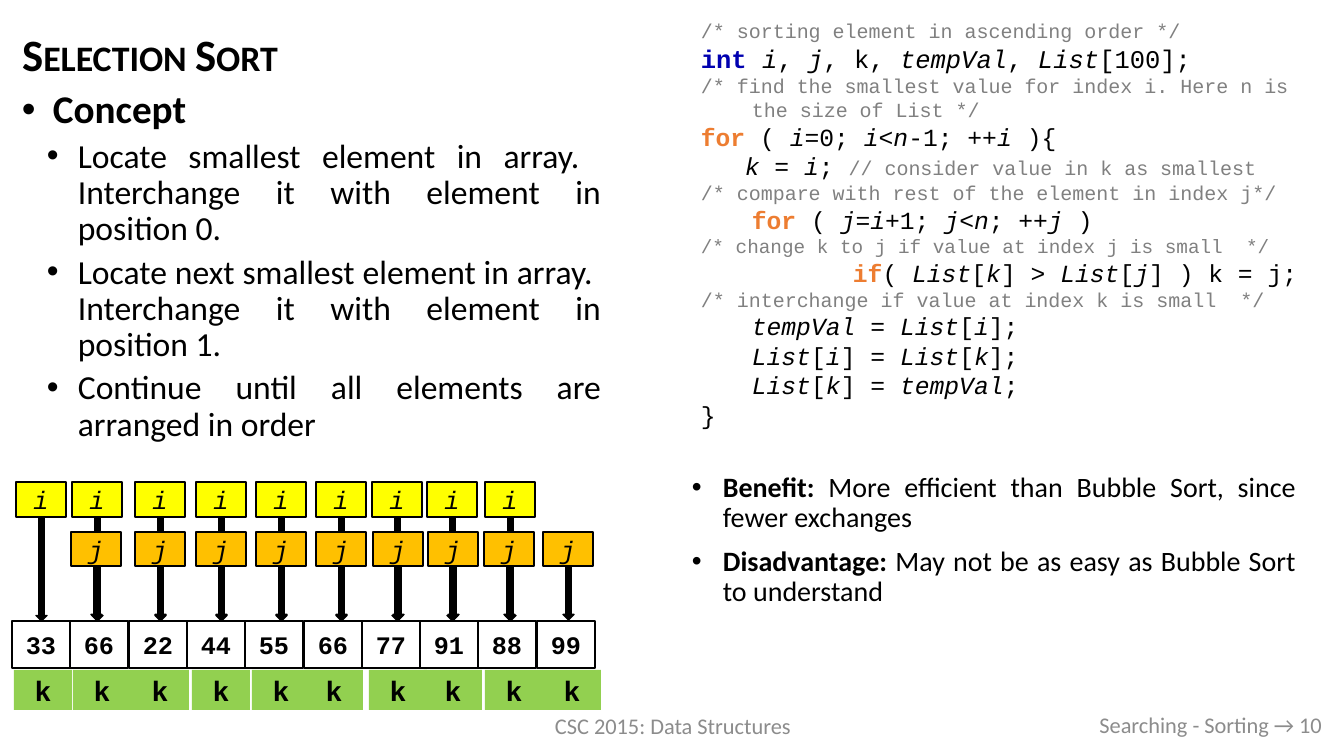
from dataclasses import dataclass

from lxml.etree import SubElement
from pptx import Presentation
from pptx.dml.color import RGBColor
from pptx.enum.shapes import MSO_SHAPE as Shape
from pptx.enum.text import MSO_ANCHOR as Anchor, PP_ALIGN as Align
from pptx.oxml.ns import qn
from pptx.util import Emu, Pt

SCALE = 914400 / 100.8


@dataclass(frozen=True)
class Style:
    """Look of one run of text."""
    size: float
    color: str = "000000"
    bold: bool = False
    italic: bool = False
    font: str = "Calibri"


class Theme:
    """Colours and type styles of the slide."""
    black, cell, i_fill, j_fill, k_fill = "000000", "FFFFFF", "FFFF00", "FFC000", "92D050"
    mono = "Courier New"
    title = Style(32, bold=True)
    heading = Style(28, bold=True)
    body = Style(24)
    remark = Style(20)
    remark_head = Style(20, bold=True)
    footer = Style(16, "8C8C8C")
    number = Style(18, bold=True, font=mono)
    marker = Style(18, italic=True, font=mono)
    smallest = Style(20, bold=True, font=mono)
    code = Style(17.6, font=mono)
    variable = Style(17.6, italic=True, font=mono)
    keyword = Style(17.6, "ED7D31", bold=True, font=mono)
    declare = Style(18.2, font=mono)
    declared = Style(18.2, italic=True, font=mono)
    data_type = Style(18.2, "0000B0", bold=True, font=mono)
    note = Style(14.3, "808080", font=mono)
    tight_note = Style(13.8, "808080", font=mono)


TAB = 51
NUMBERS = (33, 66, 22, 44, 55, 66, 77, 91, 88, 99)
I_LEFTS = (16, 72, 135, 196, 256, 316, 372, 427, 485)
J_LEFTS = (71, 135, 196, 256, 316, 373, 428, 484, 543)
K_LEFTS = (14, 73, 131, 192, 252, 305, 369, 424, 485, 543)
STEPS = (
    "Locate smallest element in array.  Interchange it with element in position 0.",
    "Locate next smallest element in array.  Interchange it with element in position 1.",
    "Continue until all elements are arranged in order",
)
REMARKS = (
    ("Benefit: ", "More efficient than Bubble Sort, since fewer exchanges"),
    ("Disadvantage: ", "May not be as easy as Bubble Sort to understand"),
)


def px(length):
    """Turn pixels into EMU."""
    return Emu(round(length * SCALE))


def area(left, top, width, height):
    """Turn a pixel rectangle into EMU."""
    return [px(side) for side in (left, top, width, height)]


def add_span(para, text, style):
    """Add one formatted run."""
    span = para.add_run()
    span.text = text
    font = span.font
    font.name, font.size = style.font, Pt(style.size)
    font.bold, font.italic = style.bold, style.italic
    font.color.rgb = RGBColor.from_string(style.color)
    return span


def add_para(frame, spans, align=Align.LEFT, left=0, hang=0, before=0, spacing=None, bullet=False):
    """Add a paragraph of (text, style) spans, with indents in pixels."""
    first = frame.paragraphs[0]
    para = frame.add_paragraph() if first.runs else first
    para.alignment, para.line_spacing = align, spacing
    para.space_before = Pt(before)
    props = para._p.get_or_add_pPr()
    props.set("marL", str(px(left)))
    props.set("indent", str(px(-hang)))
    if bullet:
        SubElement(props, qn("a:buFont")).set("typeface", "Arial")
        SubElement(props, qn("a:buChar")).set("char", "•")
    for text, style in spans:
        add_span(para, text, style)


def add_bullet(frame, spans, left, before):
    """Add a justified bullet paragraph."""
    add_para(frame, spans, Align.JUSTIFY, left, 31, before, 0.9, True)


def add_box(page, bounds, anchor=Anchor.TOP):
    """Add a wrapping text box and return its text frame."""
    frame = page.shapes.add_textbox(*area(*bounds)).text_frame
    frame.word_wrap = True
    frame.vertical_anchor = anchor
    return frame


def add_block(shapes, kind, bounds, fill, outlined=True, text="", style=None):
    """Add a filled shape with an optional centred label."""
    block = shapes.add_shape(kind, *area(*bounds))
    block.shadow.inherit = False
    block.fill.solid()
    block.fill.fore_color.rgb = RGBColor.from_string(fill)
    if outlined:
        block.line.color.rgb = RGBColor.from_string(Theme.black)
        block.line.width = Pt(1)
    else:
        block.line.fill.background()
    if text:
        block.text_frame.vertical_anchor = Anchor.MIDDLE
        add_para(block.text_frame, [(text, style)], Align.CENTER)


def add_marker(page, name, left, top, height, fill, arrow_top, arrow_end):
    """Add an index label grouped with its arrow to the array."""
    shapes = page.shapes.add_group_shape().shapes
    arrow = (left + 20, arrow_top, 11, arrow_end - arrow_top)
    add_block(shapes, Shape.DOWN_ARROW, arrow, Theme.black)
    add_block(shapes, Shape.RECTANGLE, (left, top, 50, height), fill, text=name, style=Theme.marker)


def code(text, plain=Theme.code, variable=Theme.variable):
    """Split code into spans; underscores enclose italic variables."""
    parts = enumerate(text.split("_"))
    return [(part, variable if n % 2 else plain) for n, part in parts if part]


def add_title(page):
    """Format the title placeholder."""
    title = page.shapes.title
    title.left, title.top, title.width, title.height = area(12, 14, 570, 72)
    frame = title.text_frame
    frame.vertical_anchor = Anchor.BOTTOM
    para = frame.paragraphs[0]
    para.alignment, para.line_spacing = Align.LEFT, 0.9
    span = add_span(para, "Selection Sort", Theme.title)
    span.font._element.set("cap", "small")


def add_listing(page):
    """Add the sorting code."""
    def note(text, style=Theme.note):
        return 0, [(text, style)]

    def keyword(word, rest, left=0):
        return left, [(word, Theme.keyword)] + code(rest)

    declaration = code("_i_, _j_, k, _tempVal_, _List_[100];", Theme.declare, Theme.declared)
    lines = (
        note("/* sorting element in ascending order */"),
        (0, [("int ", Theme.data_type)] + declaration),
        note("/* find the smallest value for index i. Here n is the size of List */"),
        keyword("for", " ( _i_=0; _i_<_n_-1; ++_i _){"),
        (44, code("_k_ = _i_; ") + [("// consider value in k as smallest", Theme.note)]),
        note("/* compare with rest of the element in index j*/"),
        keyword("for", " ( _j_=_i_+1; _j_<_n_; ++_j _)", TAB),
        note("/* change k to j if value at index j is small  */", Theme.tight_note),
        keyword("if", "( _List_[_k_] > _List_[_j_] ) k = j;", 152),
        note("/* interchange if value at index k is small  */"),
        (TAB, code("_tempVal_ = _List_[_i_];")),
        (TAB, code("_List_[_i_] = _List_[_k_];")),
        (TAB, code("_List_[_k_] = _tempVal_;")),
        (0, code("}")),
    )
    frame = add_box(page, (691, 14, 631, 438))
    for left, spans in lines:
        add_para(frame, spans, left=left or TAB, hang=0 if left else TAB)


def add_array(page):
    """Add the array cells, the index markers and the k labels."""
    for n, number in enumerate(NUMBERS):
        add_block(page.shapes, Shape.RECTANGLE, (round(12 + 58.3 * n), 621, 58, 47),
                  Theme.cell, text=str(number), style=Theme.number)
    for left in I_LEFTS:
        add_marker(page, "i", left, 482, 35, Theme.i_fill, 515, 621)
    for left in J_LEFTS:
        add_marker(page, "j", left, 532, 34, Theme.j_fill, 553, 620)
    for left in K_LEFTS:
        add_block(page.shapes, Shape.RECTANGLE, (left, 670, 58, 40), Theme.k_fill,
                  outlined=False, text="k", style=Theme.smallest)


def main():
    """Build and save the slide."""
    deck = Presentation()
    deck.slide_width, deck.slide_height = px(1344), px(756)
    page = deck.slides.add_slide(deck.slide_layouts[5])
    add_title(page)
    add_listing(page)

    concept = add_box(page, (12, 85, 599, 620))
    add_bullet(concept, [("Concept", Theme.heading)], 31, 10)
    for step in STEPS:
        add_bullet(concept, [(step, Theme.body)], 56, 5)

    footer = add_box(page, (446, 706, 454, 40), Anchor.MIDDLE)
    add_para(footer, [("CSC 2015: Data Structures", Theme.footer)], Align.CENTER)
    page_number = add_box(page, (950, 705, 382, 40), Anchor.MIDDLE)
    add_para(page_number, [("Searching - Sorting → 10", Theme.footer)], Align.RIGHT)

    add_array(page)

    remarks = add_box(page, (682, 468, 624, 146))
    for head, text in REMARKS:
        add_bullet(remarks, [(head, Theme.remark_head), (text, Theme.remark)], 31, 10)
    deck.save("out.pptx")


main()
